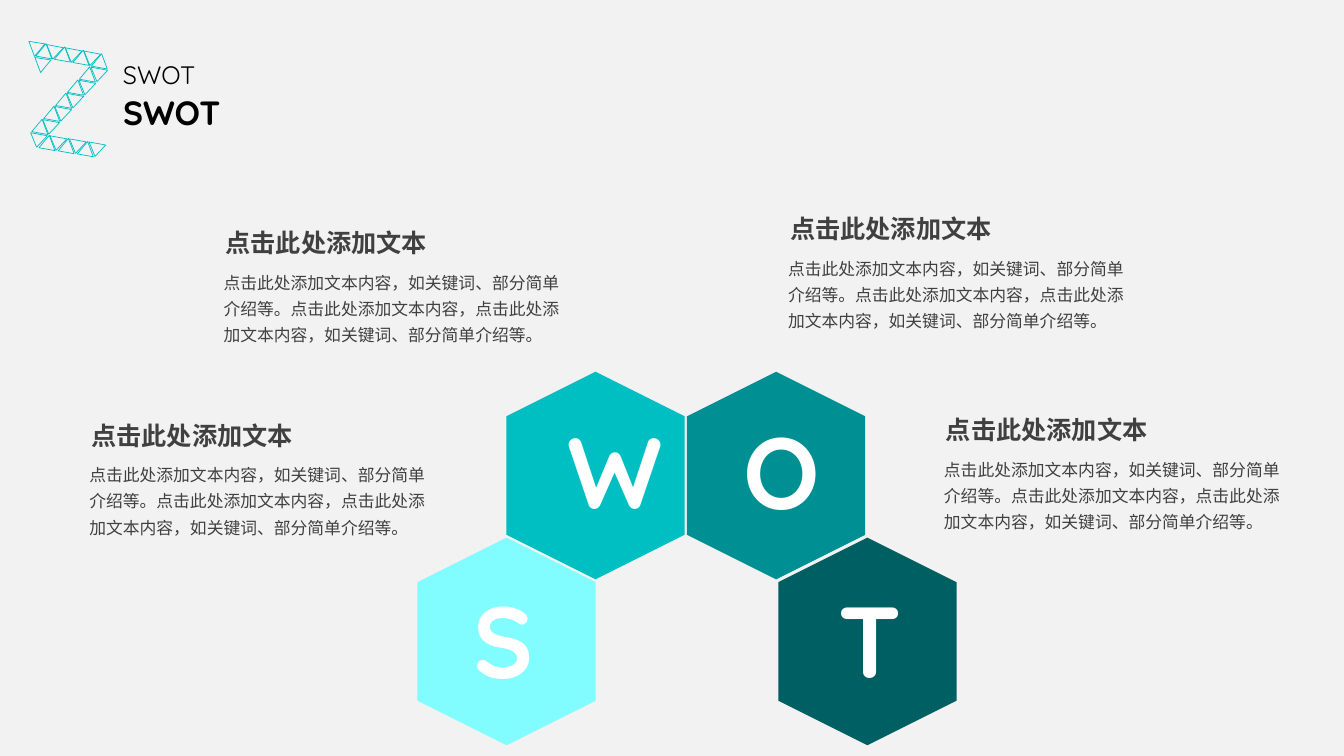
from typing import NamedTuple

from pptx import Presentation
from pptx.dml.color import RGBColor
from pptx.enum.shapes import MSO_SHAPE
from pptx.enum.text import MSO_ANCHOR, MSO_AUTO_SIZE, PP_ALIGN
from pptx.util import Pt

TRIANGLE, HEXAGON = MSO_SHAPE.ISOSCELES_TRIANGLE, MSO_SHAPE.HEXAGON
TOP, MIDDLE = MSO_ANCHOR.TOP, MSO_ANCHOR.MIDDLE
LEFT, CENTER = PP_ALIGN.LEFT, PP_ALIGN.CENTER
FIT_TEXT = MSO_AUTO_SIZE.SHAPE_TO_FIT_TEXT


class Strip(NamedTuple):
    """A row of equal triangles, each one step on from the last."""
    start: tuple
    step: tuple
    count: int
    size: tuple
    rotation: float


class Factor(NamedTuple):
    """One SWOT letter on its hexagon."""
    letter: str
    color: str
    hexagon_corner: tuple
    letter_corner: tuple


# Theme
THEME = {
    "font": "Quicksand", "background": "F2F2F2", "lattice": "00BFC3",
    "title": "000000", "copy": "404040", "letter": "FFFFFF",
    "kicker_size": 18, "title_size": 24, "heading_size": 18,
    "body_size": 12, "letter_size": 72,
    "lattice_width": 0.5, "body_spacing": 1.3,
}

# Content, with all lengths in points
TITLE = "SWOT"
HEADING = "点击此处添加文本"
BODY = ("点击此处添加文本内容，如关键词、部分简单介绍等。"
        "点击此处添加文本内容，点击此处添加文本内容，如关键词、部分简单介绍等。")
FACTORS = [
    Factor("W", "00BFC3", (351.2, 276), (398.2, 293.3)),
    Factor("O", "008F92", (480.2, 276), (524.2, 293.3)),
    Factor("S", "81FCFF", (287.7, 394.5), (329.8, 414)),
    Factor("T", "005F62", (545.4, 394.5), (591.1, 413.8)),
]
BODY_CORNERS = [(152.6, 186.7), (56.7, 324.2), (555.8, 176.6), (667.2, 320.3)]

# The Z: two triangle shapes alternate along its top, diagonal and base
STEEP, FLAT = (11.5, 10.1), (12.2, 9.4)
LATTICE = {
    "left tip": Strip((21.6, 28.1), (4.3, 11.5), 2, STEEP, 69.4),
    "top, steep": Strip((27.3, 33.8), (13.3, 2.3), 3, STEEP, 129.7),
    "top, flat": Strip((32.4, 32.9), (13.3, 2.3), 3, FLAT, 190.7),
    "diagonal, steep": Strip((67, 41), (-8.5, 9.36), 6, STEEP, 129.7),
    "diagonal, flat": Strip((64, 49), (-8.6, 9.36), 5, FLAT, 190.3),
    "base, steep": Strip((29.6, 99.3), (13.7, 2.2), 3, STEEP, 129.7),
    "base, flat": Strip((20.9, 95.8), (13.9, 2.2), 4, FLAT, 190.3),
}

# Sizes and offsets shared by repeated parts
KICKER_BOX = (80.8, 38.9, 220.3, 28.8)
TITLE_BOX = (80.8, 61.9, 116.6, 36)
HEXAGON_SIZE = (148.3, 127.4)
LETTER_SIZE = (60.5, 83.5)
BODY_SIZE = (259.9, 64.1)
HEADING_SIZE = (159.8, 28.8)
HEADING_SHIFT = (1.4, -27.6)


def rgb(value):
    return RGBColor.from_string(value)


def shifted(corner, step, times=1):
    return tuple(start + times * change for start, change in zip(corner, step))


def add_text(text, box, *, points, color, bold=False, align=LEFT,
             anchor=TOP, wrap=True, spacing=None):
    frame = slide.shapes.add_textbox(*map(Pt, box)).text_frame
    frame.word_wrap = wrap
    frame.auto_size = FIT_TEXT
    frame.vertical_anchor = anchor
    paragraph = frame.paragraphs[0]
    paragraph.alignment = align
    paragraph.line_spacing = spacing
    run = paragraph.add_run()
    run.text = text
    run.font.name = THEME["font"]
    run.font.size = Pt(points)
    run.font.bold = bold
    run.font.color.rgb = rgb(color)


def add_rotated(preset, box, rotation):
    polygon = slide.shapes.add_shape(preset, *map(Pt, box))
    polygon.rotation = rotation
    polygon.shadow.inherit = False
    return polygon


# Slide
prs = Presentation()
prs.slide_width, prs.slide_height = Pt(960), Pt(540)
slide = prs.slides.add_slide(prs.slide_layouts[6])
slide.background.fill.solid()
slide.background.fill.fore_color.rgb = rgb(THEME["background"])

# Title
add_text(TITLE, KICKER_BOX, points=THEME["kicker_size"], color=THEME["title"])
add_text(TITLE, TITLE_BOX, points=THEME["title_size"], color=THEME["title"],
         bold=True)

# Z-shaped lattice
for strip in LATTICE.values():
    for position in range(strip.count):
        corner = shifted(strip.start, strip.step, position)
        triangle = add_rotated(TRIANGLE, corner + strip.size, strip.rotation)
        triangle.fill.background()
        triangle.line.color.rgb = rgb(THEME["lattice"])
        triangle.line.width = Pt(THEME["lattice_width"])

# Hexagons
for factor in FACTORS:
    hexagon = add_rotated(HEXAGON, factor.hexagon_corner + HEXAGON_SIZE, 90)
    hexagon.fill.solid()
    hexagon.fill.fore_color.rgb = rgb(factor.color)
    hexagon.line.fill.background()

# Letters, in front of all hexagons
for factor in FACTORS:
    add_text(factor.letter, factor.letter_corner + LETTER_SIZE,
             points=THEME["letter_size"], color=THEME["letter"], bold=True,
             align=CENTER, anchor=MIDDLE)

# Body texts, each with its heading above
for corner in BODY_CORNERS:
    add_text(BODY, corner + BODY_SIZE, points=THEME["body_size"],
             color=THEME["copy"], spacing=THEME["body_spacing"])
    add_text(HEADING, shifted(corner, HEADING_SHIFT) + HEADING_SIZE,
             points=THEME["heading_size"], color=THEME["copy"], bold=True,
             wrap=False)

prs.save("out.pptx")
